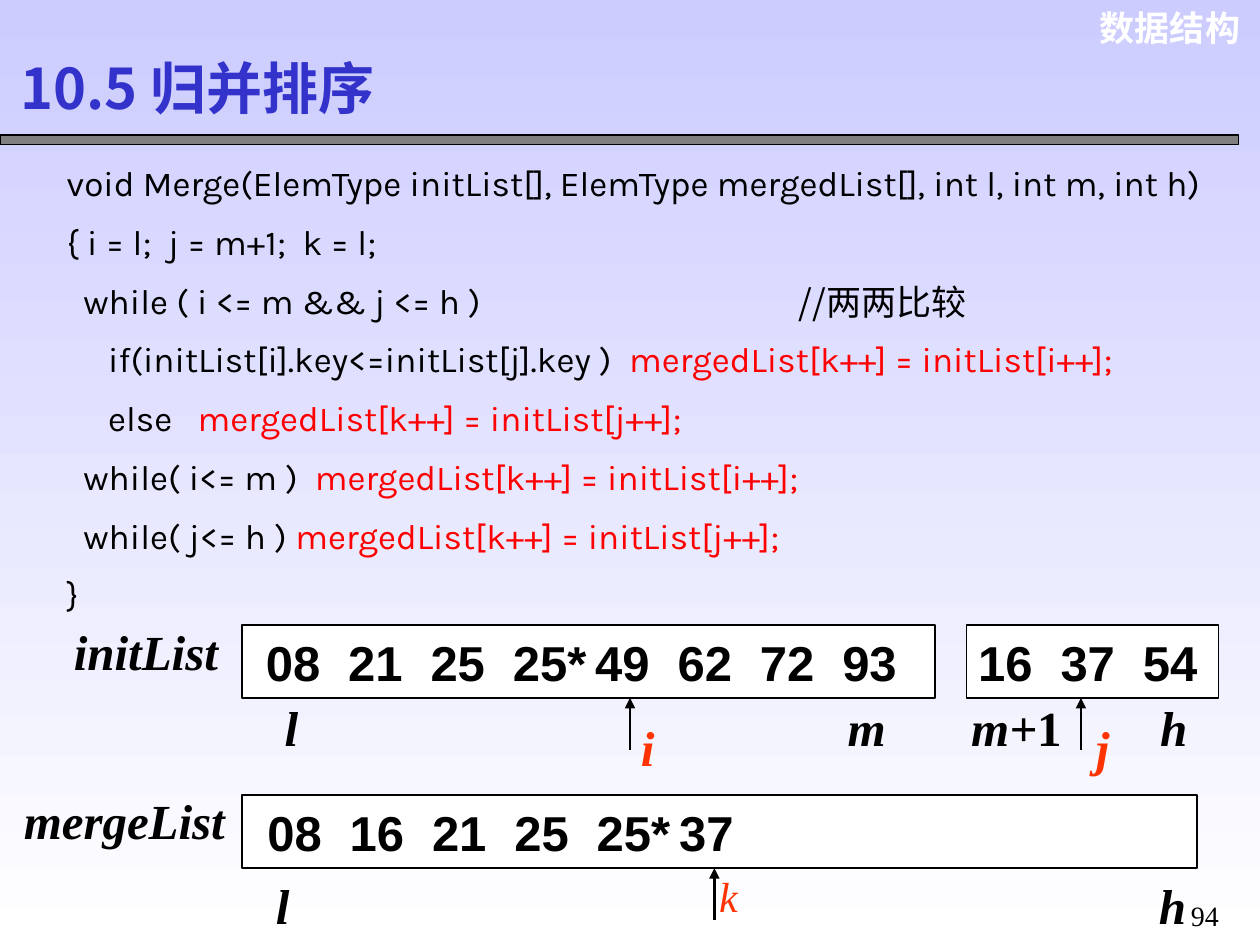
"""Build the merge sort slide: the Merge function and its two lists with index markers."""
from dataclasses import dataclass

from lxml import etree
from pptx import Presentation
from pptx.dml.color import RGBColor
from pptx.enum import shapes, text
from pptx.oxml.ns import qn
from pptx.util import Cm, Pt


@dataclass(frozen=True)
class Theme:
    code: str = "Karla"
    chinese: str = "Noto Sans CJK SC"
    value: str = "Arial"
    label: str = "Times New Roman"
    black: str = "000000"
    white: str = "FFFFFF"
    red: str = "FF0000"
    marker: str = "FF3300"
    title: str = "3333CC"
    bar: str = "808080"
    sky: str = "CCCCFF"
    small: int = 16
    body: int = 20
    index: int = 24
    large: int = 28
    heading: int = 32


THEME = Theme()
HEADER = "数据结构"
TITLE = "10.5 归并排序"
COMMENT = "//两两比较"
PAGE = "94"
CODE = [
    [("void Merge(ElemType initList[], ElemType mergedList[], int l, int m, int h)", THEME.black)],
    [("{ i = l;  j = m+1;  k = l;", THEME.black)],
    [("  while ( i <= m && j <= h )", THEME.black)],
    [("     if(initList[i].key<=initList[j].key )  ", THEME.black),
     ("mergedList[k++] = initList[i++];", THEME.red)],
    [("     else   ", THEME.black), ("mergedList[k++] = initList[j++];", THEME.red)],
    [("  while( i<= m )  ", THEME.black), ("mergedList[k++] = initList[i++];", THEME.red)],
    [("  while( j<= h ) ", THEME.black), ("mergedList[k++] = initList[j++];", THEME.red)],
    [("}", THEME.black)],
]
PITCH = 1.66
BOX_HEIGHT = 1.47
INIT_TOP, MERGE_TOP = 12.6, 16.03
LISTS = [
    (4.88, INIT_TOP, 13.97, 0.48, ["08", "21", "25", "25*", "49", "62", "72", "93"]),
    (19.48, INIT_TOP, 5.08, 0.24, ["16", "37", "54"]),
    (4.88, MERGE_TOP, 19.25, 0.51, ["08", "16", "21", "25", "25*", "37"]),
]
LABELS = [
    ("initList", 1.24, 12.4, 3.64), ("mergeList", 0.23, 15.82, 5),
    ("l", 5.49, 13.94, 1.1), ("m", 16.84, 13.94, 1.5), ("h", 23.14, 13.94, 1.5),
    ("l", 5.31, 17.53, 1.1), ("h", 23.11, 17.53, 1.5),
]
MARKERS = [("i", 12.67, 14.33), ("j", 21.84, 14.33)]
ARROWS = [(12.7, INIT_TOP), (21.79, INIT_TOP), (14.4, MERGE_TOP)]
ARROW_LENGTH = 1.05


def add_run(paragraph, words, size, font, color, bold=False, italic=False):
    run = paragraph.add_run()
    run.text = words
    run.font.size, run.font.name = Pt(size), font
    run.font.bold, run.font.italic = bold, italic
    run.font.color.rgb = RGBColor.from_string(color)
    if font == THEME.chinese or words == HEADER:
        properties = run._r.get_or_add_rPr()
        etree.SubElement(properties, qn("a:ea"), typeface=THEME.chinese)


def set_tabs(paragraph, stops):
    tabs = etree.SubElement(paragraph._p.get_or_add_pPr(), qn("a:tabLst"))
    for stop in stops:
        etree.SubElement(tabs, qn("a:tab"), pos=str(Cm(stop)), algn="l")


def place(shape, left, top, width, height):
    shape.left, shape.top, shape.width, shape.height = map(Cm, (left, top, width, height))


def add_text(slide, box, runs, align=text.PP_ALIGN.LEFT):
    frame = slide.shapes.add_textbox(*map(Cm, box)).text_frame
    frame.word_wrap = True
    paragraph = frame.paragraphs[0]
    paragraph.alignment = align
    for run in runs:
        add_run(paragraph, *run)
    return paragraph


def add_box(slide, left, top, width, height, color):
    shape = slide.shapes.add_shape(shapes.MSO_SHAPE.RECTANGLE, *map(Cm, (left, top, width, height)))
    shape.shadow.inherit = False
    shape.fill.solid()
    shape.fill.fore_color.rgb = RGBColor.from_string(color)
    shape.line.color.rgb = RGBColor.from_string(THEME.black)
    shape.line.width = Pt(0.75)
    return shape


def add_list(slide, left, top, width, inset, values):
    frame = add_box(slide, left, top, width, BOX_HEIGHT, THEME.white).text_frame
    frame.word_wrap = True
    frame.vertical_anchor = text.MSO_ANCHOR.MIDDLE
    frame.margin_left, frame.margin_right = Cm(inset), 0
    paragraph = frame.paragraphs[0]
    paragraph.alignment = text.PP_ALIGN.LEFT
    set_tabs(paragraph, [PITCH * column for column in range(1, len(values))])
    add_run(paragraph, "\t".join(values), THEME.large, THEME.value, THEME.black, True)


def add_arrow(slide, x, list_top):
    tip = list_top + BOX_HEIGHT
    arrow = slide.shapes.add_connector(
        shapes.MSO_CONNECTOR.STRAIGHT, Cm(x), Cm(tip + ARROW_LENGTH), Cm(x), Cm(tip))
    arrow.line.color.rgb = RGBColor.from_string(THEME.black)
    arrow.line.width = Pt(1.5)
    etree.SubElement(arrow.line._get_or_add_ln(), qn("a:tailEnd"), type="triangle")
    etree.SubElement(arrow._element.spPr, qn("a:effectLst"))


def fill_title(title):
    place(title, 0.15, 0.86, 10.11, 1.8)
    frame = title.text_frame
    frame.auto_size = text.MSO_AUTO_SIZE.NONE
    frame.vertical_anchor = text.MSO_ANCHOR.MIDDLE
    paragraph = frame.paragraphs[0]
    paragraph.alignment = text.PP_ALIGN.LEFT
    add_run(paragraph, TITLE, THEME.heading, THEME.chinese, THEME.title, True)


def fill_code(body):
    place(body, 1.09, 2.79, 23.8, 10.92)
    frame = body.text_frame
    frame.auto_size = text.MSO_AUTO_SIZE.NONE
    for number, line in enumerate(CODE):
        paragraph = frame.add_paragraph() if number else frame.paragraphs[0]
        properties = paragraph._p.get_or_add_pPr()
        properties.set("marL", "0")
        properties.set("indent", "0")
        etree.SubElement(properties, qn("a:buNone"))
        paragraph.line_spacing = 1.4
        paragraph.space_before = Pt(0)
        for words, color in line:
            add_run(paragraph, words, THEME.body, THEME.code, color)


def main():
    presentation = Presentation()
    presentation.slide_width, presentation.slide_height = Cm(25.4), Cm(19.05)
    slide = presentation.slides.add_slide(presentation.slide_layouts[1])
    background = slide.background.fill
    background.gradient()
    background.gradient_angle = 270
    for stop, position, color in zip(background.gradient_stops, (0, 1), (THEME.sky, THEME.white)):
        stop.position = position
        stop.color.rgb = RGBColor.from_string(color)

    add_text(slide, (21.77, 0, 3.48, 1.12), [(HEADER, THEME.body, THEME.value, THEME.white, True)],
             text.PP_ALIGN.RIGHT)
    add_box(slide, 0, 2.72, 24.97, 0.2, THEME.bar)
    fill_title(slide.shapes.title)
    fill_code(slide.placeholders[1])
    add_text(slide, (15.85, 5.52, 5, 1.12), [(COMMENT, THEME.body, THEME.chinese, THEME.black)])
    for values in LISTS:
        add_list(slide, *values)
    label_style = (THEME.large, THEME.label, THEME.black, True)
    for words, left, top, width in LABELS:
        add_text(slide, (left, top, width, 1.45), [(words, *label_style, True)])
    add_text(slide, (19.33, 13.94, 2.6, 1.45), [("m+", *label_style, True), ("1", *label_style)])
    for words, left, top in MARKERS:
        add_text(slide, (left, top, 1.1, 1.45),
                 [(words, THEME.large, THEME.label, THEME.marker, True, True)])
    add_text(slide, (14.25, 17.42, 1.1, 1.27),
             [("k", THEME.index, THEME.label, THEME.marker, False, True)])
    for arrow in ARROWS:
        add_arrow(slide, *arrow)
    page = add_text(slide, (23.39, 17.78, 1.8, 1.14),
                    [(PAGE, THEME.small, THEME.label, THEME.black)], text.PP_ALIGN.CENTER)
    page.line_spacing = 1.3
    presentation.save("out.pptx")


if __name__ == "__main__":
    main()
